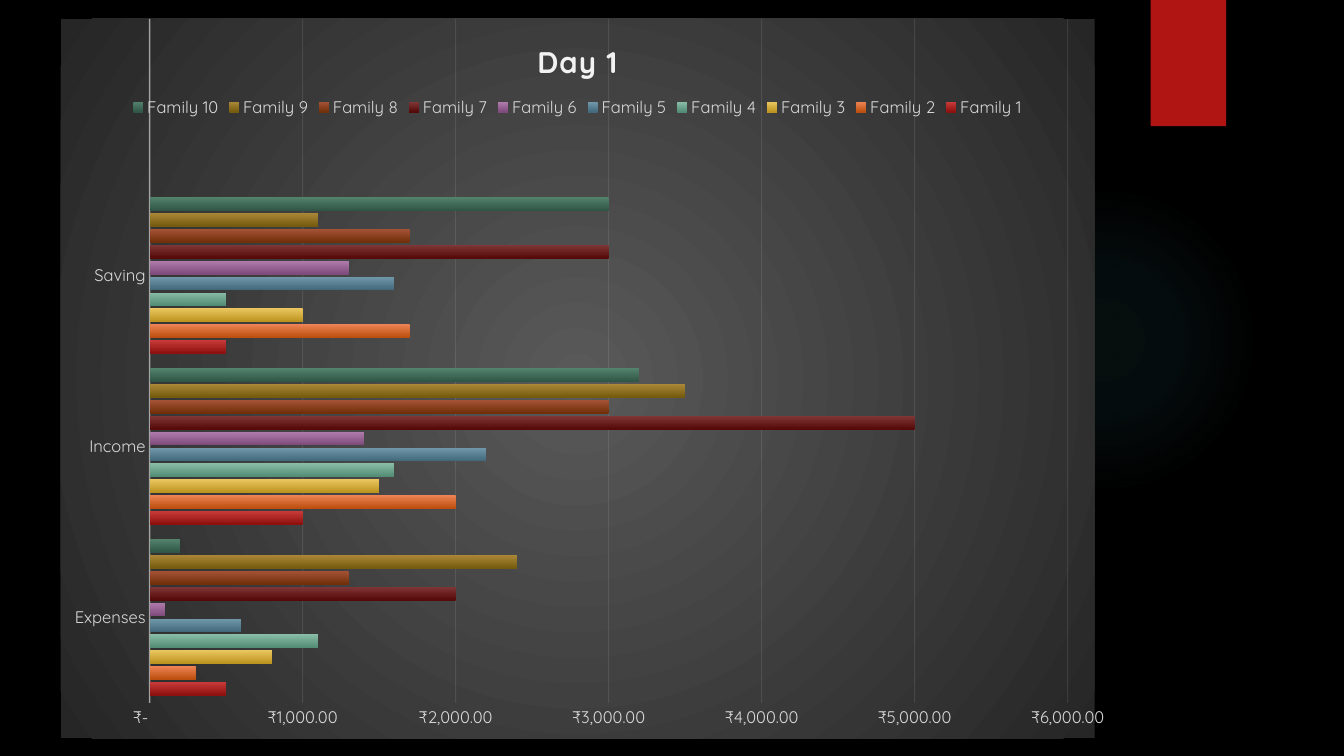
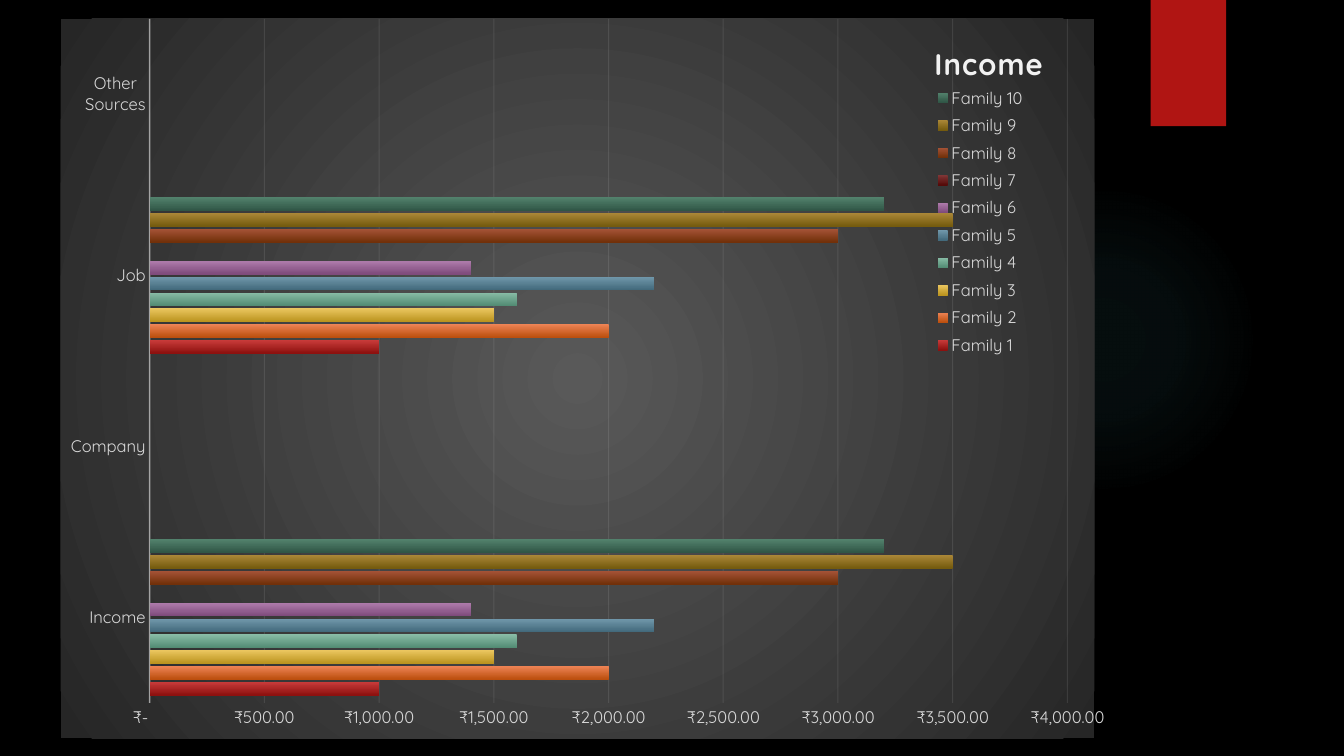
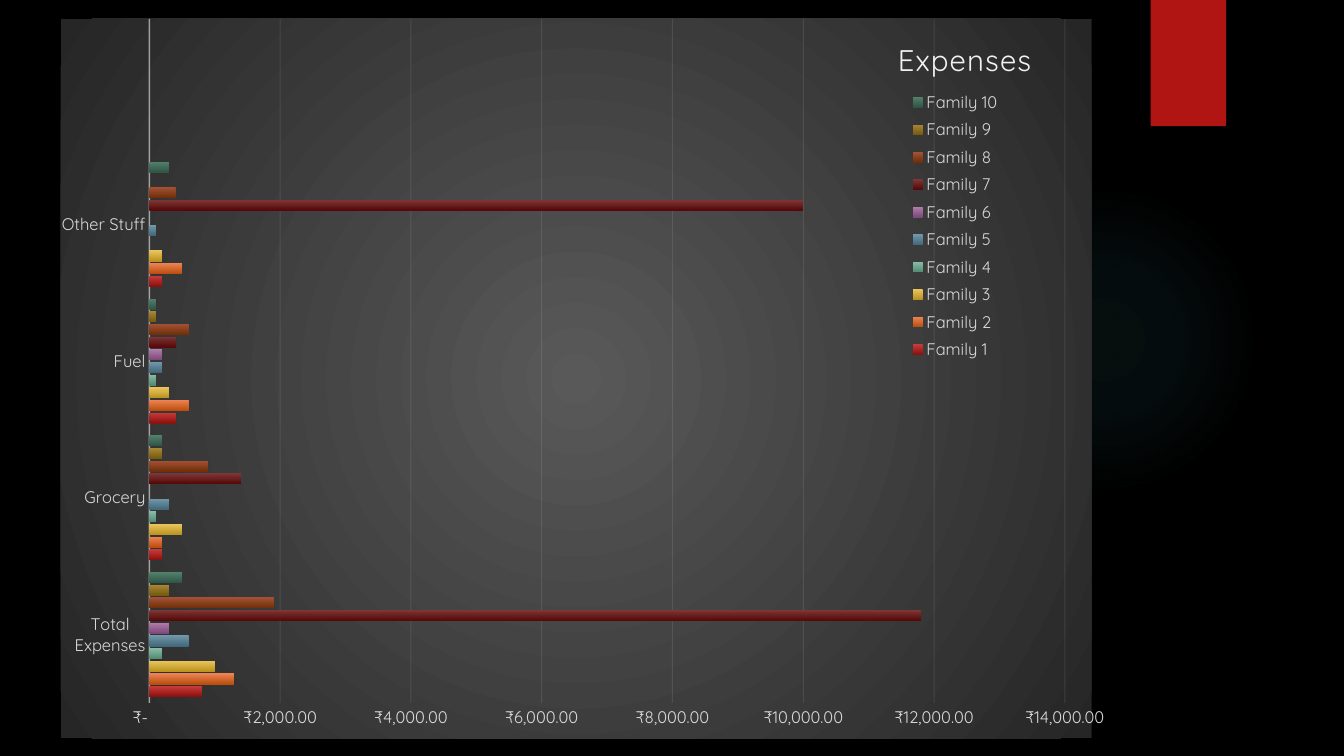
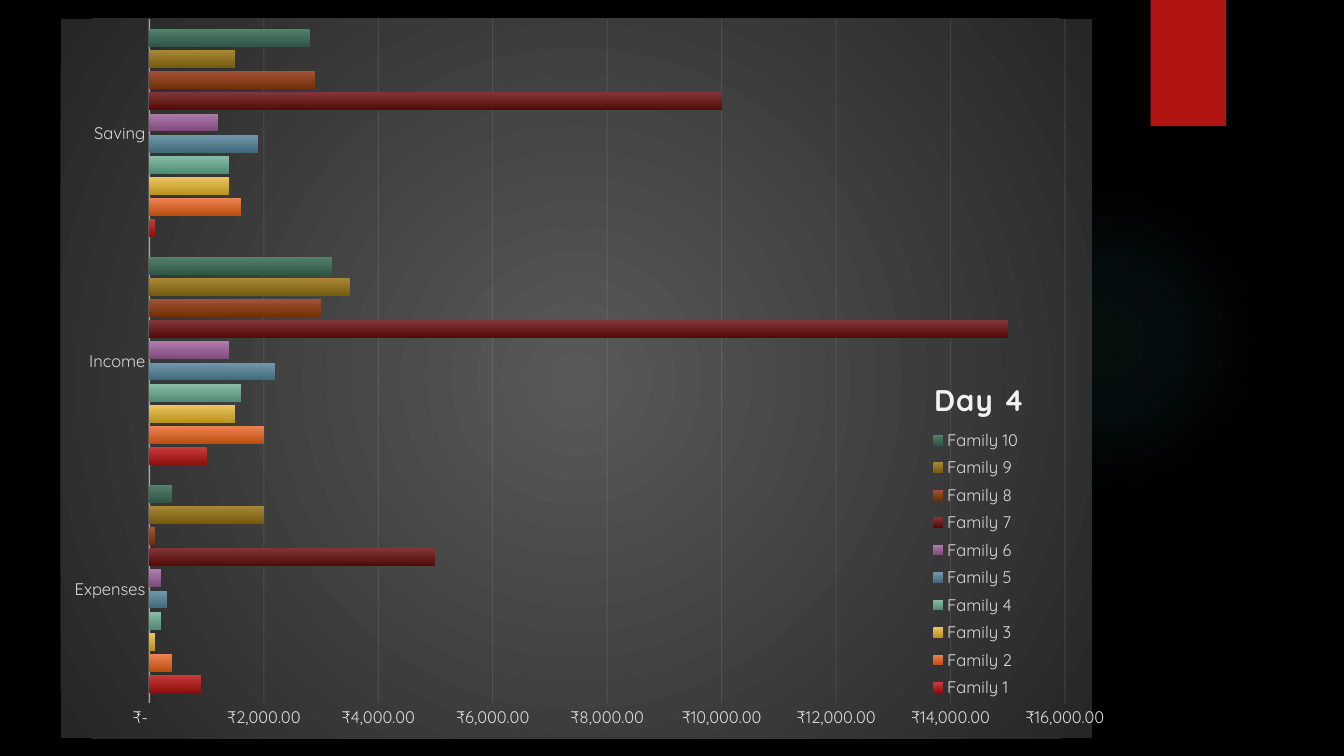
from dataclasses import dataclass

from lxml import etree
from pptx import Presentation
from pptx.chart.data import CategoryChartData
from pptx.dml.color import RGBColor
from pptx.enum import chart as kinds, shapes
from pptx.oxml import ns, parse_xml
from pptx.util import Cm, Pt

FONT = "Quicksand"
BLACK, RED, GLOW = "000000", "B01513", "50B9C1"
WHITE, PALE, LABEL = "FFFFFF", "F2F2F2", "D9D9D9"
PANEL = [(0, "595959", 100), (100, "262626", 100)]
GLOW_STOPS = [(0, GLOW, 7), (36, GLOW, 6), (69, GLOW, 0)]

# Top and bottom colour of the bars of Family 1 to Family 10
BAR_COLOURS = [
    ("C93B3A", "8D110F"), ("EE8455", "BC4F0E"), ("EBC65F", "BB941F"),
    ("89BDA7", "538C74"), ("7198AB", "436A7C"), ("AF7CAC", "7F4B7C"),
    ("7F3636", "550A09"), ("A45236", "713009"), ("AA8737", "755B0E"),
    ("52816C", "305646"),
]

RUPEES = '_("₹"* #,##0.00_);_("₹"* \\(#,##0.00\\);_("₹"* "-"??_);_(@_)'

CHART_BOX = (Cm(1.53), Cm(0.46), Cm(26.42), Cm(18.14))
PLOT_PLACE = (0.086, 0, 0.888, 0.951)
CORNER = kinds.XL_LEGEND_POSITION.CORNER
TOP = kinds.XL_LEGEND_POSITION.TOP
NO_DATA = [None] * len(BAR_COLOURS)
NOTHING = [0] * len(BAR_COLOURS)
JOB_INCOME = [1000, 2000, 1500, 1600, 2200, 1400, 0, 3000, 3500, 3200]


@dataclass
class Budget:
    """One chart; places are fractions of the chart, rows run over the families."""
    title: str
    title_place: tuple
    legend_place: tuple
    top_value: int
    step: int
    rows: dict
    legend_side: object = CORNER
    bold: bool = True


BUDGETS = [
    Budget("Day 1", (0.456, 0.023), (0.065, 0.1, 0.87, 0.045), 6000, 1000, {
        "Expenses": [500, 300, 800, 1100, 600, 100, 2000, 1300, 2400, 200],
        "Income": [1000, 2000, 1500, 1600, 2200, 1400, 5000, 3000, 3500, 3200],
        "Saving": [500, 1700, 1000, 500, 1600, 1300, 3000, 1700, 1100, 3000],
        "": NO_DATA,
    }, legend_side=TOP),
    Budget("Income", (0.84, 0.026), (0.842, 0.086, 0.095, 0.391), 4000, 500, {
        "Income": JOB_INCOME,
        "Company": NOTHING,
        "Job": JOB_INCOME,
        "Other Sources\n": NOTHING,
    }),
    Budget("Expenses", (0.807, 0.02), (0.82, 0.092, 0.095, 0.391), 14000, 2000, {
        "Total Expenses": [800, 1300, 1000, 200, 600, 300, 11800, 1900, 300, 500],
        "Grocery": [200, 200, 500, 100, 300, 0, 1400, 900, 200, 200],
        "Fuel": [400, 600, 300, 100, 200, 200, 400, 600, 100, 100],
        "Other Stuff": [200, 500, 200, 0, 100, 0, 10000, 400, 0, 300],
        "": NO_DATA,
    }, bold=False),
    Budget("Day 4", (0.842, 0.493), (0.84, 0.562, 0.095, 0.391), 16000, 2000, {
        "Expenses": [900, 400, 100, 200, 300, 200, 5000, 100, 2000, 400],
        "Income": [1000, 2000, 1500, 1600, 2200, 1400, 15000, 3000, 3500, 3200],
        "Saving": [100, 1600, 1400, 1400, 1900, 1200, 10000, 2900, 1500, 2800],
    }),
]


def colour(code):
    return RGBColor.from_string(code)


def style_font(font, size, code):
    font.name, font.size = FONT, Pt(size)
    font.color.rgb = colour(code)


def radial_fill(stops):
    """Return a circular gradient from (position, colour, opacity) in percent."""
    marks = "".join(
        f'<a:gs pos="{spot * 1000}"><a:srgbClr val="{code}">'
        f'<a:alpha val="{opacity * 1000}"/></a:srgbClr></a:gs>'
        for spot, code, opacity in stops)
    return parse_xml(
        f'<a:gradFill {ns.nsdecls("a")} rotWithShape="1"><a:gsLst>{marks}</a:gsLst>'
        '<a:path path="circle"><a:fillToRect l="50000" t="50000" r="50000" b="50000"/>'
        '</a:path></a:gradFill>')


def set_layout(part, index, place, inner=False):
    """Fix a chart part at x, y and, if given, width and height."""
    for old in part.findall(ns.qn("c:layout")):
        part.remove(old)
    layout = etree.Element(ns.qn("c:layout"))
    manual = etree.SubElement(layout, ns.qn("c:manualLayout"))
    entries = [("layoutTarget", "inner")] if inner else []
    entries += [("xMode", "edge"), ("yMode", "edge")]
    entries += zip("xywh", place)
    for tag, value in entries:
        etree.SubElement(manual, ns.qn(f"c:{tag}")).set("val", str(value))
    part.insert(index, layout)


def set_line(chart, line, width, opacity, route):
    line.width = Pt(width)
    line.color.rgb = colour(PALE)
    for tint in chart.element.xpath(f"{route}/c:spPr/a:ln//a:srgbClr"):
        etree.SubElement(tint, ns.qn("a:alpha")).set("val", str(opacity * 1000))


def move_backdrop(page, master):
    """Draw the glow and the ribbon on a page and hand them to its master."""
    glow = page.shapes.add_shape(shapes.MSO_SHAPE.OVAL,
                                 Cm(23.9), Cm(4.65), Cm(7.82), Cm(7.82))
    glow.fill.background()
    empty_fill = glow.element.spPr.find(ns.qn("a:noFill"))
    glow.element.spPr.replace(empty_fill, radial_fill(GLOW_STOPS))
    ribbon = page.shapes.add_shape(shapes.MSO_SHAPE.RECTANGLE,
                                   Cm(29), 0, Cm(1.9), Cm(3.18))
    ribbon.fill.solid()
    ribbon.fill.fore_color.rgb = colour(RED)
    for number, shape in enumerate((glow, ribbon), 101):
        shape.line.fill.background()
        shape.shadow.inherit = False
        shape.element.nvSpPr.cNvPr.set("id", str(number))
        master.shapes.element.append(shape.element)


def style_panel(chart):
    """Give the chart a square-cornered panel with a circular gradient."""
    space = chart.element
    for old in space.findall(ns.qn("c:roundedCorners")):
        space.remove(old)
    corners = etree.Element(ns.qn("c:roundedCorners"))
    corners.set("val", "0")
    has_date = space.find(ns.qn("c:date1904")) is not None
    space.insert(1 if has_date else 0, corners)
    panel = etree.Element(ns.qn("c:spPr"))
    panel.append(radial_fill(PANEL))
    etree.SubElement(etree.SubElement(panel, ns.qn("a:ln")), ns.qn("a:noFill"))
    space.find(ns.qn("c:chart")).addnext(panel)


def style_bars(plot):
    plot.gap_width, plot.overlap = 115, -20
    plot.vary_by_categories = False
    for series, shades in zip(plot.series, BAR_COLOURS):
        series.invert_if_negative = False
        fill = series.format.fill
        fill.gradient()
        fill.gradient_angle = 270
        for stop, shade in zip(fill.gradient_stops, shades):
            stop.color.rgb = colour(shade)


def style_axes(chart, budget):
    names, amounts = chart.category_axis, chart.value_axis
    for axis in (names, amounts):
        axis.major_tick_mark = axis.minor_tick_mark = kinds.XL_TICK_MARK.NONE
        style_font(axis.tick_labels.font, 12, LABEL)
    set_line(chart, names.format.line, 1, 54, ".//c:catAx")
    amounts.format.line.fill.background()
    amounts.minimum_scale, amounts.maximum_scale = 0, budget.top_value
    amounts.major_unit = budget.step
    amounts.tick_labels.number_format = RUPEES
    amounts.tick_labels.number_format_is_linked = False
    amounts.has_major_gridlines = True
    set_line(chart, amounts.major_gridlines.format.line, 0.75, 10,
             ".//c:majorGridlines")


def add_title(chart, budget):
    chart.has_title = True
    para = chart.chart_title.text_frame.paragraphs[0]
    para.text = budget.title
    span = para.runs[0]
    style_font(span.font, 21.3, PALE)
    span.font.bold = budget.bold
    title = chart.element.xpath("c:chart/c:title")[0]
    title.xpath(".//a:r/a:rPr")[0].set("spc", "100")
    set_layout(title, 1, budget.title_place)


def add_legend(chart, budget):
    chart.has_legend = True
    chart.legend.position = budget.legend_side
    chart.legend.include_in_layout = False
    style_font(chart.legend.font, 12, LABEL)
    set_layout(chart.element.xpath("c:chart/c:legend")[0], 1, budget.legend_place)


def add_budget_chart(page, budget, box):
    data = CategoryChartData()
    data.categories = list(budget.rows)
    for number, values in enumerate(zip(*budget.rows.values()), 1):
        data.add_series(f"Family {number}", values)
    chart = page.shapes.add_chart(kinds.XL_CHART_TYPE.BAR_CLUSTERED, *box, data).chart
    style_font(chart.font, 10, WHITE)
    style_panel(chart)
    style_bars(chart.plots[0])
    style_axes(chart, budget)
    add_title(chart, budget)
    add_legend(chart, budget)
    set_layout(chart.element.xpath("c:chart/c:plotArea")[0], 0, PLOT_PLACE, inner=True)


def main():
    deck = Presentation()
    deck.slide_width, deck.slide_height = Cm(33.87), Cm(19.05)
    master = deck.slide_master
    backdrop = master.background.fill
    backdrop.solid()
    backdrop.fore_color.rgb = colour(BLACK)
    pages = [deck.slides.add_slide(deck.slide_layouts[6]) for _ in BUDGETS]
    move_backdrop(pages[0], master)
    for page, budget in zip(pages, BUDGETS):
        add_budget_chart(page, budget, CHART_BOX)
    deck.save("out.pptx")


if __name__ == "__main__":
    main()
